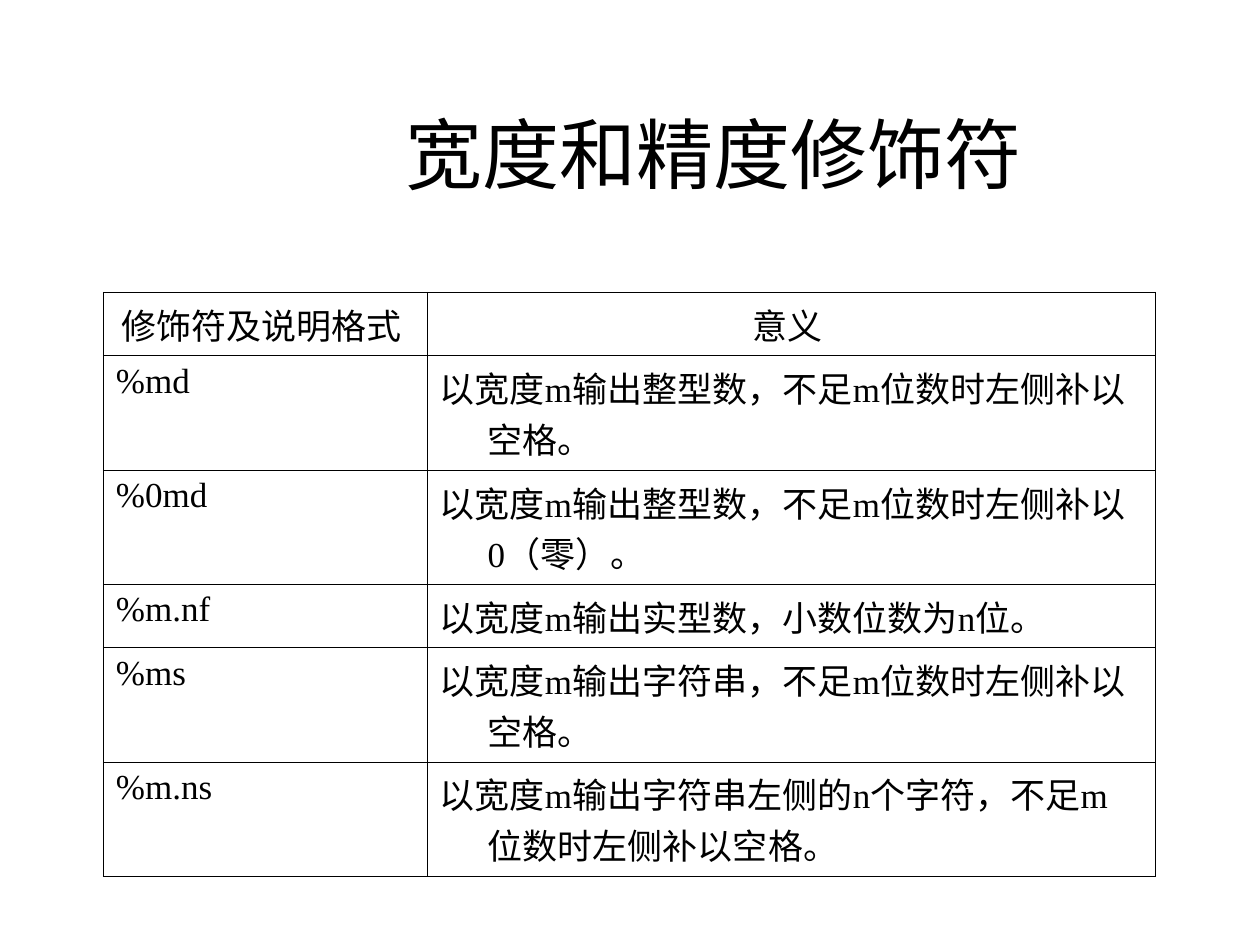
from lxml import etree
from pptx import Presentation
from pptx.dml.color import RGBColor
from pptx.enum.text import MSO_ANCHOR, PP_ALIGN
from pptx.oxml.ns import qn
from pptx.util import Inches, Pt

CENTER, LEFT = PP_ALIGN.CENTER, PP_ALIGN.LEFT
MIDDLE = MSO_ANCHOR.MIDDLE
TITLE_ONLY = 5

ROWS = [
    ("修饰符及说明格式 ", "意义 "),
    ("%md", "以宽度m输出整型数，不足m位数时左侧补以空格。"),
    ("%0md", "以宽度m输出整型数，不足m位数时左侧补以0（零）。"),
    ("%m.nf", "以宽度m输出实型数，小数位数为n位。"),
    ("%ms", "以宽度m输出字符串，不足m位数时左侧补以空格。"),
    ("%m.ns", "以宽度m输出字符串左侧的n个字符，不足m位数时左侧补以空格。"),
]
COLS = (2.57, 5.78)
LOW, HIGH = 0.43, 0.77
HEIGHTS = (LOW, HIGH, HIGH, LOW, HIGH, HIGH)


def color(code):
    return RGBColor.from_string(code)


class Page:
    ink = "000000"
    paper = "FFFFFF"
    head = {"name": "Calibri", "size": Pt(44), "bold": False}
    body = {"name": "Times New Roman", "size": Pt(20), "bold": False}
    hang = Inches(0.38)
    rule = Pt(0.45)

    def __init__(self, deck):
        self.slide = deck.slides.add_slide(deck.slide_layouts[TITLE_ONLY])

    def label(self, para, text, style, align):
        para.alignment = align
        run = para.add_run()
        run.text = text
        for key, value in style.items():
            setattr(run.font, key, value)
        run.font.color.rgb = color(self.ink)

    def title(self, text, *box):
        shape = self.slide.shapes.title
        for key, value in zip(("left", "top", "width", "height"), box):
            setattr(shape, key, Inches(value))
        shape.text_frame.vertical_anchor = MIDDLE
        self.label(shape.text_frame.paragraphs[0], text, self.head, CENTER)

    def border(self, cell):
        props = cell._tc.get_or_add_tcPr()
        for spot, side in enumerate(("a:lnL", "a:lnR", "a:lnT", "a:lnB")):
            line = etree.Element(qn(side), w=str(self.rule))
            fill = etree.SubElement(line, qn("a:solidFill"))
            etree.SubElement(fill, qn("a:srgbClr"), val=self.ink)
            props.insert(spot, line)

    def cell(self, cell, text, align):
        cell.fill.solid()
        cell.fill.fore_color.rgb = color(self.paper)
        self.border(cell)
        para = cell.text_frame.paragraphs[0]
        props = para._p.get_or_add_pPr()
        props.set("marL", str(self.hang))
        props.set("indent", str(-self.hang))
        self.label(para, text, self.body, align)

    def table(self, rows, left, top, cols, heights):
        box = map(Inches, (left, top, sum(cols), sum(heights)))
        grid = self.slide.shapes.add_table(len(rows), len(cols), *box).table
        for col, width in zip(grid.columns, cols):
            col.width = Inches(width)
        for y, (row, height) in enumerate(zip(rows, heights)):
            grid.rows[y].height = Inches(height)
            for x, text in enumerate(row):
                self.cell(grid.cell(y, x), text, LEFT if y else CENTER)


def main():
    deck = Presentation()
    deck.slide_width, deck.slide_height = Inches(10), Inches(7.5)
    page = Page(deck)
    # Title
    page.title("宽度和精度修饰符", 1.83, 0.5, 7.67, 1.42)
    # Table of modifiers
    page.table(ROWS, 0.82, 2.32, COLS, HEIGHTS)
    deck.save("out.pptx")


if __name__ == "__main__":
    main()
